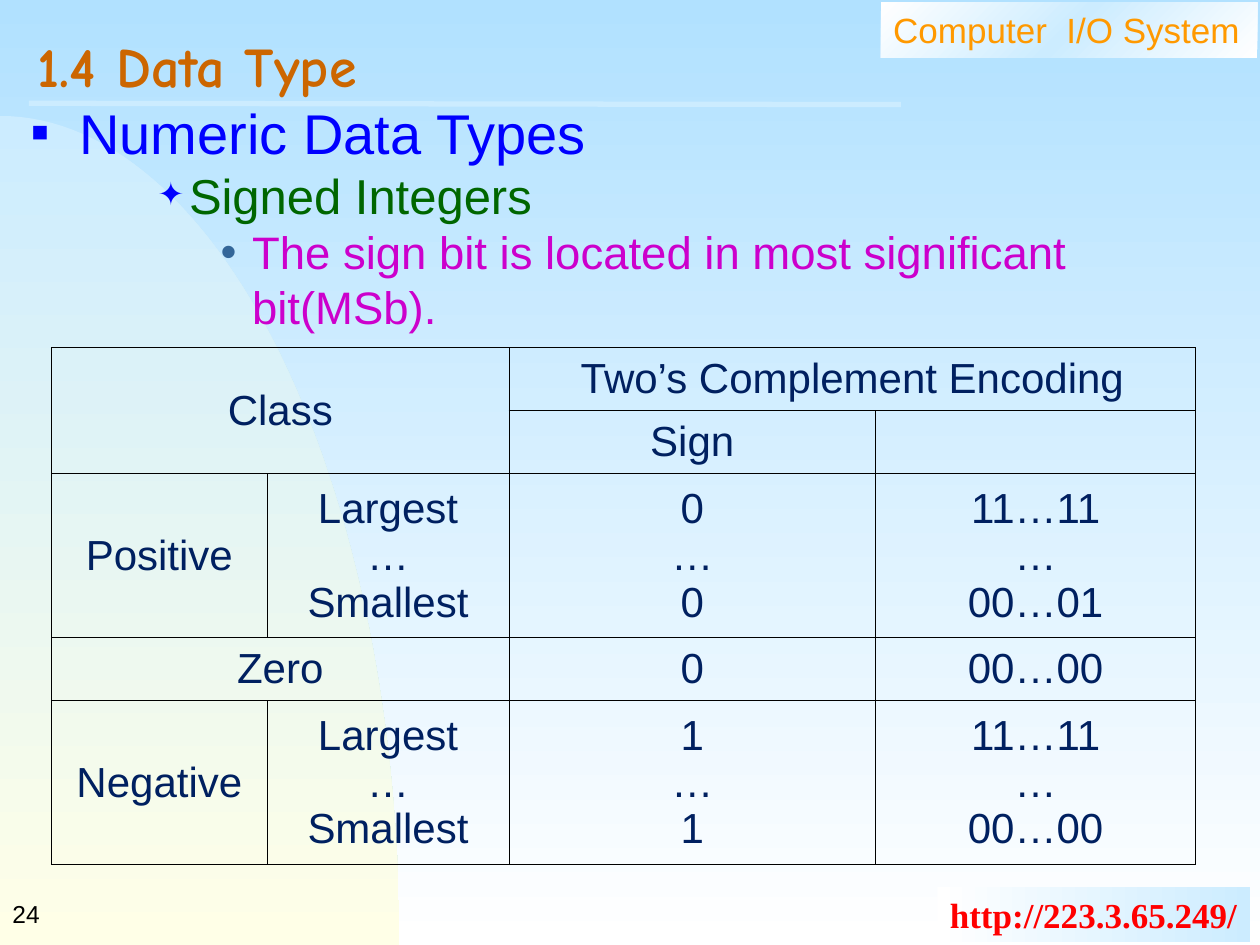
import math

from lxml import etree
from pptx import Presentation
from pptx.dml.color import RGBColor
from pptx.enum.shapes import MSO_CONNECTOR, MSO_SHAPE
from pptx.enum.text import MSO_ANCHOR, MSO_AUTO_SIZE, PP_ALIGN
from pptx.oxml.ns import qn
from pptx.util import Inches, Pt

LEFT, CENTER = PP_ALIGN.LEFT, PP_ALIGN.CENTER
TOP, MIDDLE = MSO_ANCHOR.TOP, MSO_ANCHOR.MIDDLE
NO_AUTOFIT = MSO_AUTO_SIZE.NONE
RECTANGLE, STRAIGHT = MSO_SHAPE.RECTANGLE, MSO_CONNECTOR.STRAIGHT

# text, level, left margin, hanging indent, bullet, bullet colour, bullet percent, size, colour
BODY_LINES = [
    ("Numeric Data Types", 0, 0.38, 0.38, "■", "0000FF", 50, 32, "0000FF"),
    ("Signed Integers", 2, 1.25, 0.25, "✦", "0000FF", 65, 28, "006600"),
    ("The sign bit is located in most significant bit(MSb).",
     3, 1.75, 0.25, "•", "336699", 100, 26, "CC00CC"),
]
COLUMN_WIDTHS = [1.71, 1.92, 2.91, 2.54]
ROW_HEIGHTS = [0.5, 0.5, 1.3, 0.5, 1.3]
TABLE_ROWS = [
    ["Class", "", "Two’s Complement Encoding", ""],
    ["", "", "Sign", ""],
    ["Positive", "Largest\n…\nSmallest", "0\n…\n0", "11…11\n…\n00…01"],
    ["Zero", "", "0", "00…00"],
    ["Negative", "Largest\n…\nSmallest", "1\n…\n1", "11…11\n…\n00…00"],
]
MERGES = [((0, 0), (1, 1)), ((0, 2), (0, 3)), ((3, 0), (3, 1))]


def color(value):
    return RGBColor.from_string(value)


def inches(*lengths):
    return [Inches(length) for length in lengths]


def set_gradient(fill, element, stops, angle):
    """Fill with (percent, colour) stops along a clockwise angle."""
    fill.gradient()
    fill.gradient_angle = (360 - angle) % 360
    stop_list = element.xpath(".//a:gsLst")[0]
    for stop in list(stop_list):
        stop_list.remove(stop)
    for percent, value in stops:
        stop = etree.SubElement(stop_list, qn("a:gs"), pos=str(percent * 1000))
        etree.SubElement(stop, qn("a:srgbClr"), val=value)


def format_paragraph(paragraph, size, value, name="Arial", bold=False,
                     alignment=LEFT, line_spacing=1.0):
    paragraph_format = {"alignment": alignment, "line_spacing": line_spacing,
                        "space_before": Pt(0), "space_after": Pt(0)}
    for attribute, setting in paragraph_format.items():
        setattr(paragraph, attribute, setting)
    for attribute, setting in {"size": Pt(size), "name": name, "bold": bold}.items():
        setattr(paragraph.font, attribute, setting)
    paragraph.font.color.rgb = color(value)


def format_frame(frame, anchor=TOP, wrap=True):
    for attribute, setting in {"vertical_anchor": anchor, "word_wrap": wrap,
                               "auto_size": NO_AUTOFIT}.items():
        setattr(frame, attribute, setting)


def place(shape, box):
    for attribute, length in zip(("left", "top", "width", "height"), inches(*box)):
        setattr(shape, attribute, length)


def add_quarter_ellipse(slide, box, steps=60):
    left, top, width, height = box
    bottom = top + height
    angles = [math.pi / 2 * step / steps for step in range(steps + 1)]
    points = [(Inches(left + width * math.sin(angle)),
               Inches(bottom - height * math.cos(angle))) for angle in angles]
    builder = slide.shapes.build_freeform(*points[0])
    builder.add_line_segments(points[1:] + [tuple(inches(left, bottom))], close=True)
    shape = builder.convert_to_shape()
    shape.shadow.inherit = False
    shape.line.fill.background()
    set_gradient(shape.fill, shape.element, [(0, "CCECFF"), (100, "FFFFE7")], 90)


def add_banner(slide, box, text, stops, angle, wrap, **text_format):
    shape = slide.shapes.add_shape(RECTANGLE, *inches(*box))
    shape.shadow.inherit = False
    shape.line.fill.background()
    set_gradient(shape.fill, shape.element, stops, angle)
    format_frame(shape.text_frame, wrap=wrap)
    shape.text_frame.text = text
    format_paragraph(shape.text_frame.paragraphs[0], **text_format)


def add_title_rule(slide, start, end):
    rule = slide.shapes.add_connector(STRAIGHT, *inches(*start, *end))
    rule.line.color.rgb = color("CCECFF")
    rule.line.width = Pt(3)
    etree.SubElement(rule.element.spPr, qn("a:effectLst"))


def fill_title(title, box):
    place(title, box)
    format_frame(title.text_frame, MIDDLE)
    title.text_frame.text = "1.4 Data Type"
    format_paragraph(title.text_frame.paragraphs[0], 32, "CC6600", "Comic Neue",
                     bold=True, line_spacing=0.7)


def add_bullet(paragraph, margin, hanging, character, value, percent):
    properties = paragraph._p.get_or_add_pPr()
    properties.set("marL", str(Inches(margin)))
    properties.set("indent", str(-Inches(hanging)))
    bullet_color = etree.SubElement(properties, qn("a:buClr"))
    etree.SubElement(bullet_color, qn("a:srgbClr"), val=value)
    etree.SubElement(properties, qn("a:buSzPct"), val=str(percent * 1000))
    etree.SubElement(properties, qn("a:buFont"), typeface="Arial")
    etree.SubElement(properties, qn("a:buChar"), char=character)


def fill_body(body, box):
    place(body, box)
    frame = body.text_frame
    format_frame(frame)
    frame.text = "\n".join(line[0] for line in BODY_LINES)
    for paragraph, line in zip(frame.paragraphs, BODY_LINES):
        _, level, *bullet, size, value = line
        paragraph.level = level
        add_bullet(paragraph, *bullet)
        format_paragraph(paragraph, size, value)


def add_page_number(slide, box, number):
    frame = slide.shapes.add_textbox(*inches(*box)).text_frame
    format_frame(frame, MIDDLE, wrap=False)
    frame.text = number
    format_paragraph(frame.paragraphs[0], 14, "000000")


def set_borders(cell):
    properties = cell._tc.get_or_add_tcPr()
    for position, side in enumerate(("lnL", "lnR", "lnT", "lnB")):
        border = etree.Element(qn(f"a:{side}"), w=str(Pt(0.45)))
        fill = etree.SubElement(border, qn("a:solidFill"))
        etree.SubElement(fill, qn("a:srgbClr"), val="000000")
        properties.insert(position, border)


def add_encoding_table(slide, box):
    table = slide.shapes.add_table(len(ROW_HEIGHTS), len(COLUMN_WIDTHS),
                                   *inches(*box)).table
    table.first_row = table.horz_banding = False
    for column, width in zip(table.columns, COLUMN_WIDTHS):
        column.width = Inches(width)
    for row, height, texts in zip(table.rows, ROW_HEIGHTS, TABLE_ROWS):
        row.height = Inches(height)
        for cell, text in zip(row.cells, texts):
            cell.text = text
            cell.vertical_anchor = MIDDLE
            cell.fill.background()
            set_borders(cell)
            for paragraph in cell.text_frame.paragraphs:
                format_paragraph(paragraph, 24, "002060", alignment=CENTER)
    for first, last in MERGES:
        table.cell(*first).merge(table.cell(*last))


def add_backdrop(slide):
    set_gradient(slide.background.fill, slide.element,
                 [(0, "B1E1FF"), (100, "FFFFFF")], 90)
    add_quarter_ellipse(slide, (0, 0.92, 3.17, 6.58))
    add_banner(slide, (6.99, 0.02, 2.99, 0.44), "Computer  I/O System",
               [(0, "FFFFFF"), (50, "CCECFF"), (100, "FFFFFF")], 45, True,
               size=20, value="FF9900")
    add_banner(slide, (7.44, 7.04, 2.48, 0.44), "http://223.3.65.249/",
               [(0, "FFFFFF"), (100, "CCECFF")], 0, False,
               size=20, value="FF0000", name="Times New Roman", bold=True)
    add_title_rule(slide, (0.23, 0.82), (7.15, 0.83))


def main():
    presentation = Presentation()
    presentation.slide_width, presentation.slide_height = inches(10, 7.5)
    slide = presentation.slides.add_slide(presentation.slide_layouts[1])
    title, body = slide.placeholders
    add_backdrop(slide)
    for placeholder in (title, body):  # bring in front of the backdrop
        slide.shapes._spTree.append(placeholder.element)
    fill_title(title, (0.2, 0.2, 9.55, 0.77))
    fill_body(body, (0.15, 0.73, 9.6, 6.28))
    add_page_number(slide, (0, 7, 2.08, 0.5), "24")
    add_encoding_table(slide, (0.41, 2.76, 9.07, 4.1))
    presentation.save("out.pptx")


if __name__ == "__main__":
    main()
